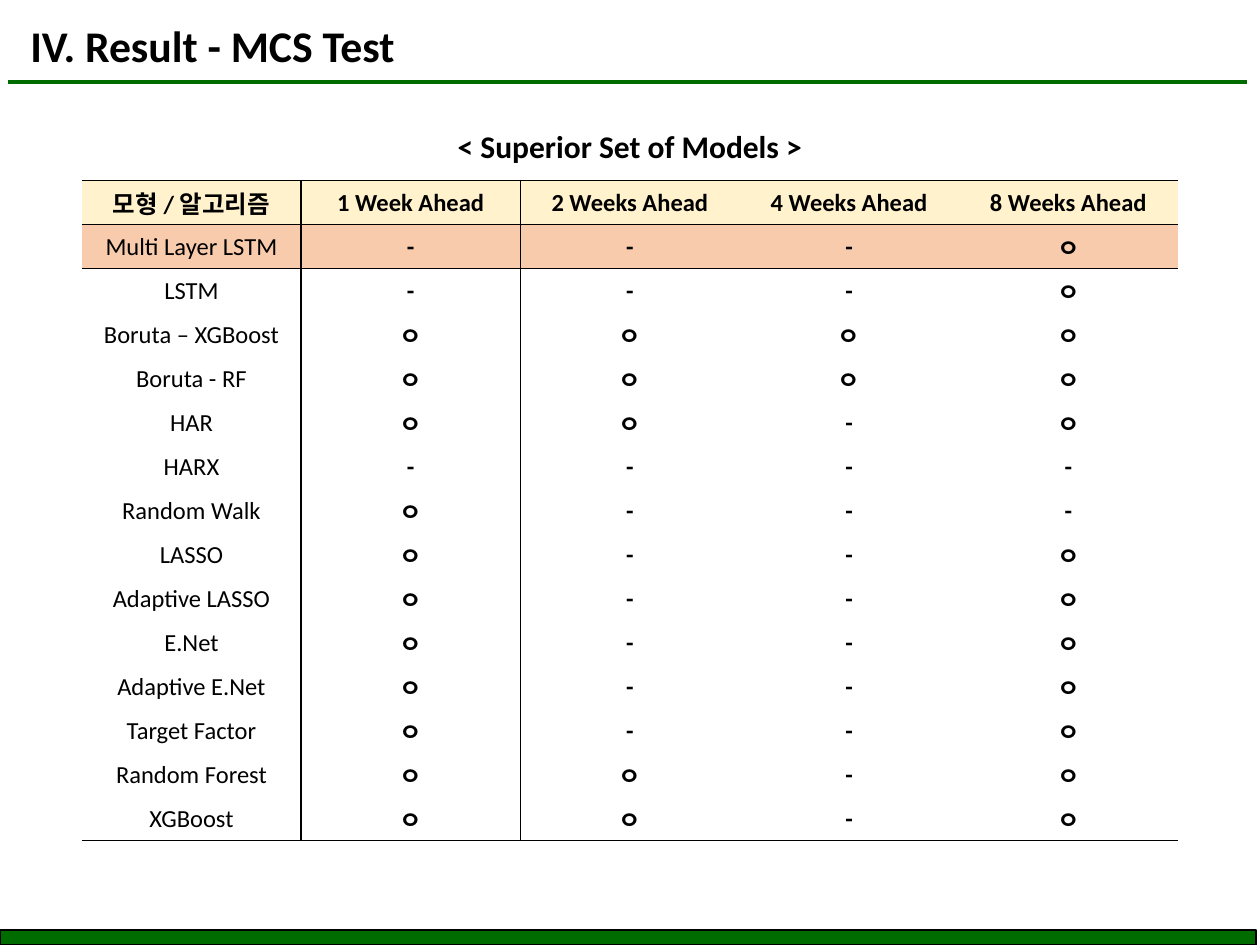
"""Build the slide of MCS test results by model and forecast horizon."""
import pptx
import pptx.dml.color
import pptx.enum.shapes
import pptx.enum.text
import pptx.oxml
import pptx.oxml.ns
import pptx.util

RGBColor = pptx.dml.color.RGBColor
Pt = pptx.util.Pt
Inches = pptx.util.Inches
PP_ALIGN = pptx.enum.text.PP_ALIGN
MSO_ANCHOR = pptx.enum.text.MSO_ANCHOR

GREEN = RGBColor(0x00, 0x6C, 0x00)
BLACK = RGBColor(0x00, 0x00, 0x00)
CREAM = RGBColor(0xFF, 0xF2, 0xCC)
PEACH = RGBColor(0xF8, 0xCB, 0xAD)
FONT = "Calibri"
NO_STYLE = "{2D5ABB26-0587-4C30-8999-92F81FD0307C}"
WIDTH, HEIGHT = Inches(10), Inches(7.5)

HEADER = ["모형 / 알고리즘", "1 Week Ahead", "2 Weeks Ahead", "4 Weeks Ahead", "8 Weeks Ahead"]
RESULTS = [
    ("Multi Layer LSTM", "---ㅇ"),
    ("LSTM", "---ㅇ"),
    ("Boruta – XGBoost", "ㅇㅇㅇㅇ"),
    ("Boruta - RF", "ㅇㅇㅇㅇ"),
    ("HAR", "ㅇㅇ-ㅇ"),
    ("HARX", "----"),
    ("Random Walk", "ㅇ---"),
    ("LASSO", "ㅇ--ㅇ"),
    ("Adaptive LASSO", "ㅇ--ㅇ"),
    ("E.Net", "ㅇ--ㅇ"),
    ("Adaptive E.Net", "ㅇ--ㅇ"),
    ("Target Factor", "ㅇ--ㅇ"),
    ("Random Forest", "ㅇㅇ-ㅇ"),
    ("XGBoost", "ㅇㅇ-ㅇ"),
]


def share_box(left, top, width, height):
    """Turn shares of the slide's size into a box of lengths."""
    return int(left * WIDTH), int(top * HEIGHT), int(width * WIDTH), int(height * HEIGHT)


def set_text(tf, text, size, bold=True, align=PP_ALIGN.CENTER):
    """Write one formatted paragraph into a text frame."""
    tf.text = text
    p = tf.paragraphs[0]
    p.alignment = align
    for r in p.runs:
        r.font.name = FONT
        r.font.size = Pt(size)
        r.font.bold = bold
        r.font.color.rgb = BLACK


def add_heading(s, box):
    """Place the title and the green rule along the bottom of the box."""
    left, top, width, height = box
    sp = s.shapes.title
    sp.left, sp.top, sp.width, sp.height = left + int(0.008 * WIDTH), top, width // 2, int(0.07 * HEIGHT)
    tf = sp.text_frame
    set_text(tf, "IV. Result - MCS Test", 25, align=PP_ALIGN.LEFT)
    tf.vertical_anchor = MSO_ANCHOR.TOP
    tf.auto_size = pptx.enum.text.MSO_AUTO_SIZE.NONE
    tf.word_wrap = False
    rule = s.shapes.add_connector(
        pptx.enum.shapes.MSO_CONNECTOR.STRAIGHT, left, top + height, left + width, top + height)
    rule.line.color.rgb = GREEN
    rule.line.width = Pt(2.25)
    pptx.oxml.ns.qn("a:effectLst")
    rule.element.spPr.append(pptx.oxml.parse_xml(
        f'<a:effectLst {pptx.oxml.ns.nsdecls("a")}/>'))


def add_caption(s, box):
    """Place the centred caption of the table."""
    tf = s.shapes.add_textbox(*box).text_frame
    tf.word_wrap = True
    set_text(tf, "< Superior Set of Models >", 18)


def add_border(cell, side):
    """Draw a black line on one side of a cell."""
    cell._tc.get_or_add_tcPr().append(pptx.oxml.parse_xml(
        f'<a:ln{side} {pptx.oxml.ns.nsdecls("a")} w="12700"><a:solidFill>'
        f'<a:srgbClr val="{BLACK}"/></a:solidFill></a:ln{side}>'))


def format_cell(cell, row, col, last_row):
    """Set margins, borders and fill by the cell's place in the table."""
    cell.vertical_anchor = MSO_ANCHOR.MIDDLE
    cell.margin_left = cell.margin_right = cell.margin_top = Inches(0.01)
    cell.margin_bottom = 0
    sides = {"L": col == 1, "R": col == 0, "T": row <= 1, "B": row in (0, last_row)}
    for side, drawn in sides.items():
        if drawn:
            add_border(cell, side)
    if row <= 1:
        cell.fill.solid()
        cell.fill.fore_color.rgb = (CREAM, PEACH)[row]
    else:
        cell.fill.background()


def add_results(s, box):
    """Fill the box with an even grid of models by forecast horizon."""
    rows = [HEADER] + [[model, *marks] for model, marks in RESULTS]
    table = s.shapes.add_table(len(rows), len(HEADER), *box).table
    table.first_row = table.horz_banding = False
    table._tbl.tblPr.find(pptx.oxml.ns.qn("a:tableStyleId")).text = NO_STYLE
    for i, row in enumerate(rows):
        for j, text in enumerate(row):
            cell = table.cell(i, j)
            set_text(cell.text_frame, text, 14, bold=i == 0 or j > 0)
            format_cell(cell, i, j, len(rows) - 1)


def add_footer(s, box):
    """Place the green bar at the foot of the slide."""
    sp = s.shapes.add_shape(pptx.enum.shapes.MSO_SHAPE.RECTANGLE, *box)
    sp.shadow.inherit = False
    sp.fill.solid()
    sp.fill.fore_color.rgb = GREEN
    sp.line.color.rgb = BLACK
    sp.line.width = Pt(1)


def main():
    """Build and save the slide."""
    prs = pptx.Presentation()
    prs.slide_width, prs.slide_height = WIDTH, HEIGHT
    s = prs.slides.add_slide(prs.slide_layouts.get_by_name("Title Only"))
    add_heading(s, share_box(0.006, 0.0133, 0.984, 0.0733))
    add_footer(s, share_box(0, 0.984, 0.997, 0.016))
    add_caption(s, share_box(0.32, 0.128, 0.36, 0.0533))
    add_results(s, share_box(0.065, 0.191, 0.87, 0.6987))
    prs.save("out.pptx")


if __name__ == "__main__":
    main()
